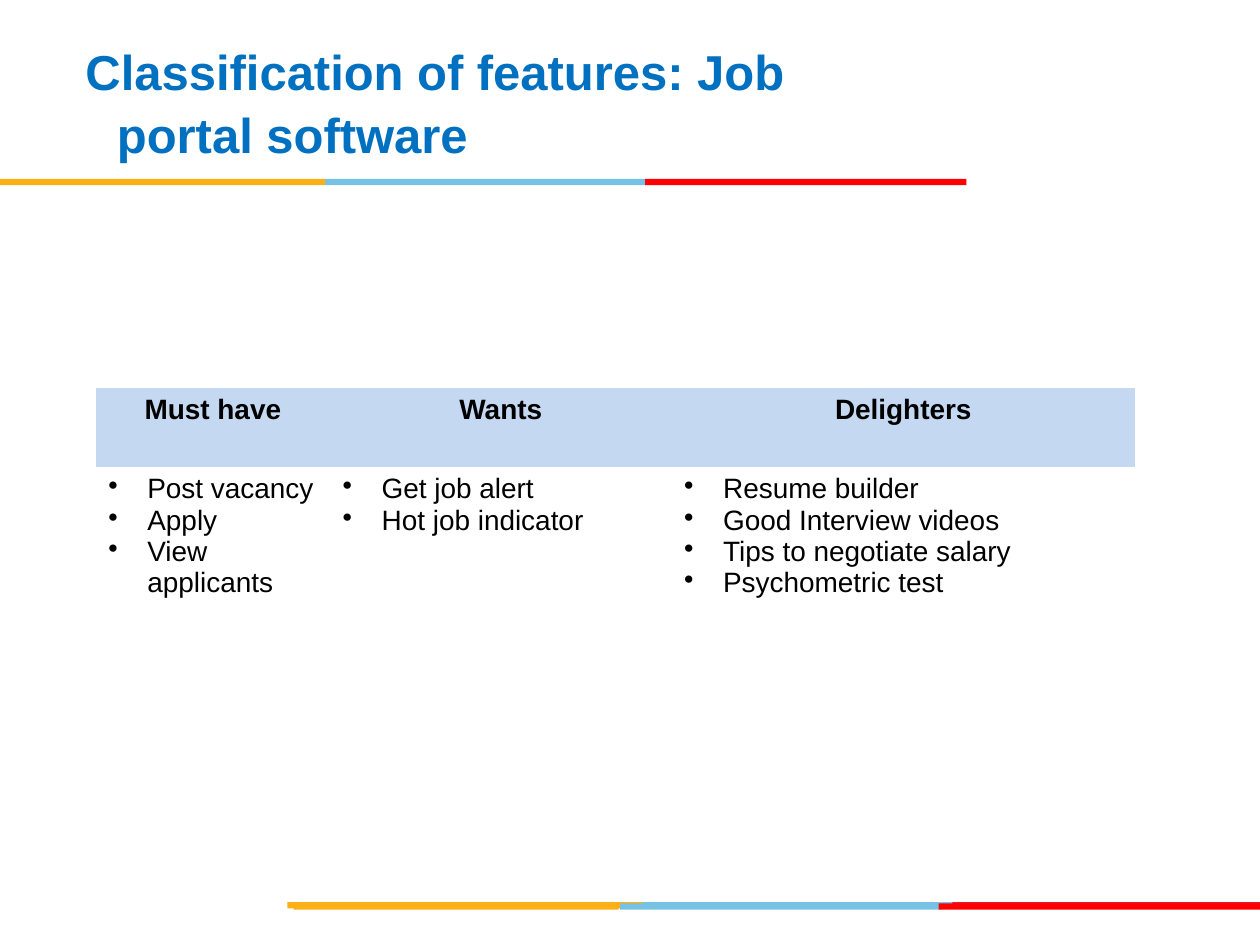
from lxml.etree import SubElement
from pptx import Presentation
from pptx.dml.color import RGBColor
from pptx.enum.shapes import MSO_SHAPE
from pptx.enum.text import MSO_ANCHOR, PP_ALIGN
from pptx.oxml.ns import qn
from pptx.util import Inches, Pt

WIDE, HIGH = 10, 7.5


def place(left, top, width, height):
    return [Inches(share * side / 100) for share, side in
            ((left, WIDE), (top, HIGH), (width, WIDE), (height, HIGH))]


def style(font, size, color, bold):
    font.name = "Arial"
    font.size = Pt(size)
    font.bold = bold
    font.color.rgb = RGBColor.from_string(color)


deck = Presentation()
deck.slide_width, deck.slide_height = Inches(WIDE), Inches(HIGH)
slide = deck.slides.add_slide(deck.slide_layouts[6])

GOLD, SKY, RED, DARK = "FCB017", "76C2E5", "FF0000", "E31C24"
bars = [
    (95.47, [(50.6, 25.5, SKY), (75.6, 24.4, DARK), (22.8, 28.2, GOLD)]),
    (95.6, [(49.2, 25.5, SKY), (23.3, 25.8, GOLD), (74.5, 25.5, RED)]),
    (18.93, [(25.8, 25.5, SKY), (0, 25.8, GOLD), (51.2, 25.5, RED)]),
]
for top, parts in bars:
    for left, width, color in parts:
        bar = slide.shapes.add_shape(MSO_SHAPE.RECTANGLE, *place(left, top, width, 0.67))
        bar.shadow.inherit = False
        bar.fill.solid()
        bar.fill.fore_color.rgb = RGBColor.from_string(color)
        bar.line.fill.background()

title = slide.shapes.add_textbox(*place(3.3, 2.27, 69.2, 16.67)).text_frame
title.word_wrap = True
title.vertical_anchor = MSO_ANCHOR.MIDDLE
head = title.paragraphs[0]
head.text = "Classification of features: Job portal software"
head.line_spacing = 1.08
style(head.font, 28, "0070C0", True)
indent = head._p.get_or_add_pPr()
indent.set("marL", str(Inches(0.5)))
indent.set("indent", str(Inches(-0.25)))

lists = {
    "Must have": ["Post vacancy", "Apply", "View applicants"],
    "Wants": ["Get job alert", "Hot job indicator"],
    "Delighters": ["Resume builder", "Good Interview videos",
                   "Tips to negotiate salary", "Psychometric test"],
}
frame = slide.shapes.add_table(2, len(lists), *place(7.6, 41.07, 82.5, 13.87))
table = frame.table
table.horz_banding = False
plain = "{2D5ABB26-0587-4C30-8999-92F81FD0307C}"
next(frame._element.iter(qn("a:tableStyleId"))).text = plain
for row, share in zip(table.rows, (8.4, 5.47)):
    row.height = Inches(share * HIGH / 100)

for col, (name, items) in enumerate(lists.items()):
    table.columns[col].width = Inches((18.6, 27.1, 36.8)[col] * WIDE / 100)
    top, cell = table.cell(0, col), table.cell(1, col)
    top.text = name
    top.fill.solid()
    top.fill.fore_color.rgb = RGBColor.from_string("C5D8F1")
    label = top.text_frame.paragraphs[0]
    label.alignment = PP_ALIGN.CENTER
    style(label.font, 16, "000000", True)
    cell.fill.background()
    cell.text = "\n".join(items)
    for line in cell.text_frame.paragraphs:
        style(line.font, 16, "000000", False)
        props = line._p.get_or_add_pPr()
        props.set("marL", str(Inches(0.31)))
        props.set("indent", str(Inches(-0.31)))
        mark = SubElement(props, qn("a:buChar"), char="•")
        props.insert(0, mark)

deck.save("out.pptx")
